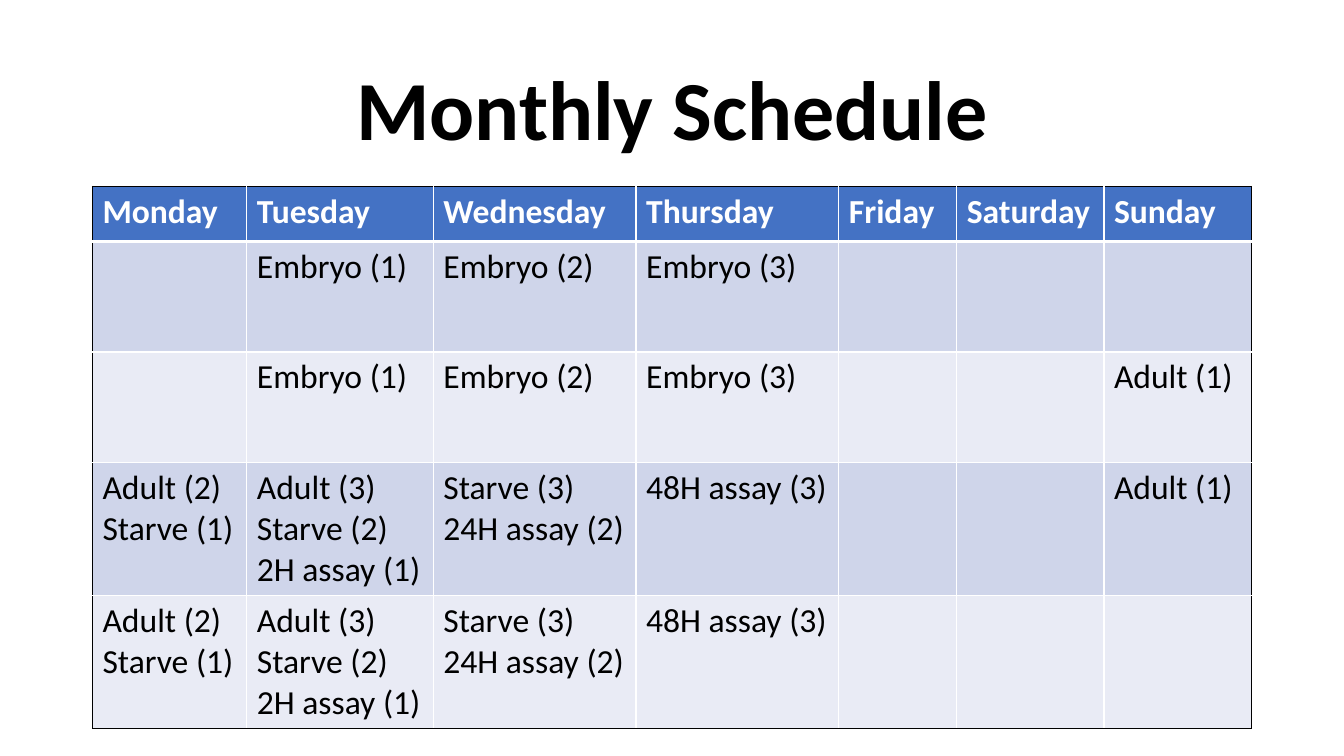
from lxml import etree
from pptx import Presentation
from pptx import util as u
from pptx.dml.color import RGBColor
from pptx.enum import text
from pptx.oxml import ns

BLACK = RGBColor(0x00, 0x00, 0x00)
WHITE = RGBColor(0xFF, 0xFF, 0xFF)
HEADER_BLUE = RGBColor(0x44, 0x72, 0xC4)
BANDS = (RGBColor(0xCF, 0xD5, 0xEA), RGBColor(0xE9, 0xEB, 0xF5))

LEFT, WIDTH = u.Cm(2.33), u.Cm(29.21)
DAY_WIDTHS = (3.89, 4.7, 5.11, 5.11, 2.97, 3.71, 3.71)
WEEK_HEIGHTS = (1.39, 2.78, 2.78, 3.15, 3.15)

DAYS = ("Monday", "Tuesday", "Wednesday", "Thursday", "Friday", "Saturday", "Sunday")
EMBRYO_DAYS = ("Embryo (1)", "Embryo (2)", "Embryo (3)")
ADULT_DAYS = (
    "Adult (2)\nStarve (1)",
    "Adult (3)\nStarve (2)\n2H assay (1)",
    "Starve (3)\n24H assay (2)",
    "48H assay (3)",
)
WEEKS = (
    ("", *EMBRYO_DAYS, "", "", ""),
    ("", *EMBRYO_DAYS, "", "", "Adult (1)"),
    (*ADULT_DAYS, "", "", "Adult (1)"),
    (*ADULT_DAYS, "", "", ""),
)


class ScheduleSlide:
    """Holds the text style and the slide being built."""

    font_name = "Calibri"

    def __init__(self, presentation):
        self.slide = presentation.slides.add_slide(presentation.slide_layouts[5])

    def style(self, paragraph, size, color, bold):
        font = paragraph.font
        font.name, font.size, font.bold = self.font_name, u.Pt(size), bold
        font.color.rgb = color

    def title(self, wording):
        heading = self.slide.shapes.title
        heading.left, heading.top = LEFT, u.Cm(1.01)
        heading.width, heading.height = WIDTH, u.Cm(3.68)
        frame = heading.text_frame
        frame.text = wording
        frame.vertical_anchor = text.MSO_ANCHOR.MIDDLE
        paragraph = frame.paragraphs[0]
        paragraph.alignment = text.PP_ALIGN.CENTER
        paragraph.line_spacing = 0.9
        self.style(paragraph, 60, BLACK, True)

    def border(self, cell, side, color, points):
        properties = cell._tc.get_or_add_tcPr()
        line = etree.SubElement(properties, ns.qn(f"a:ln{side}"), w=str(u.Pt(points)))
        fill = etree.SubElement(line, ns.qn("a:solidFill"))
        etree.SubElement(fill, ns.qn("a:srgbClr"), val=str(color))

    def table(self, rows, top, widths, heights):
        last_row, last_column = len(rows) - 1, len(widths) - 1
        schedule = self.slide.shapes.add_table(
            len(rows), len(widths), LEFT, top, WIDTH, u.Cm(sum(heights))
        ).table
        for column, width in zip(schedule.columns, widths):
            column.width = u.Cm(width)
        for row, height in zip(schedule.rows, heights):
            row.height = u.Cm(height)

        for r, entries in enumerate(rows):
            header = r == 0
            for c, entry in enumerate(entries):
                cell = schedule.cell(r, c)
                cell.text = entry
                for paragraph in cell.text_frame.paragraphs:
                    self.style(paragraph, 24, WHITE if header else BLACK, header)
                # Black outer frame, white inner lines, thick rule under the header
                edges = (
                    ("L", c == 0, 1),
                    ("R", c == last_column, 1),
                    ("T", r == 0, 3 if r == 1 else 1),
                    ("B", r == last_row, 3 if header else 1),
                )
                for side, outer, points in edges:
                    self.border(cell, side, BLACK if outer else WHITE, points)
                cell.fill.solid()
                cell.fill.fore_color.rgb = HEADER_BLUE if header else BANDS[(r - 1) % 2]


def main():
    presentation = Presentation()
    presentation.slide_width, presentation.slide_height = u.Cm(33.87), u.Cm(19.05)
    schedule_slide = ScheduleSlide(presentation)

    # Title
    schedule_slide.title("Monthly Schedule")

    # Four weeks of work by weekday
    schedule_slide.table((DAYS, *WEEKS), u.Cm(4.7), DAY_WIDTHS, WEEK_HEIGHTS)

    presentation.save("out.pptx")


if __name__ == "__main__":
    main()
